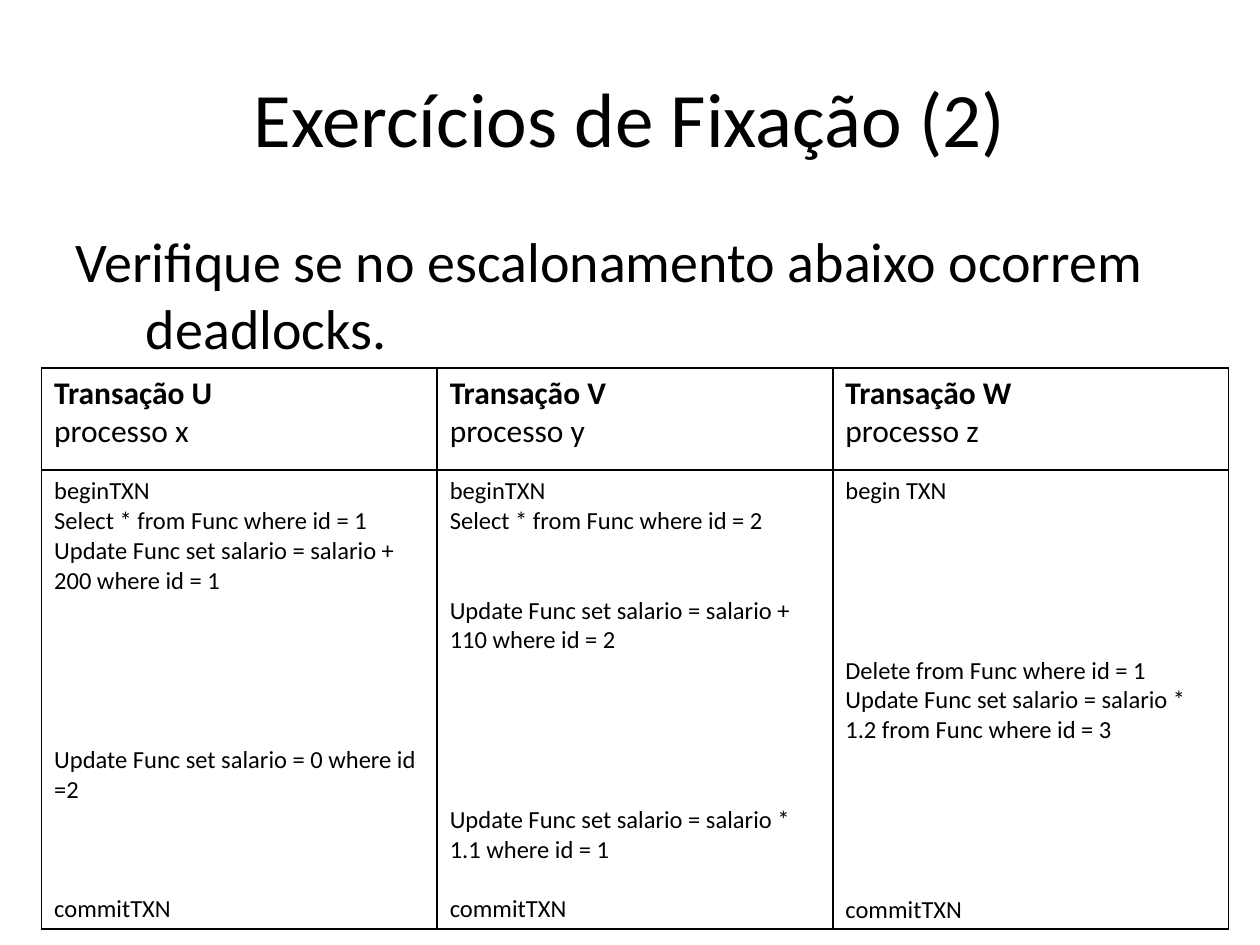
from lxml.etree import SubElement
from pptx import Presentation
from pptx.dml.color import RGBColor
from pptx.enum.text import MSO_ANCHOR as ANCHOR, PP_ALIGN as ALIGN
from pptx.oxml import parse_xml
from pptx.oxml.ns import nsdecls, qn
from pptx.util import Inches, Pt

COLORS = {"text": "000000", "border": "000000", "cell": "FFFFFF"}
LINE_PITCH = 17.1
HEADERS = [("Transação U", "processo x"),
           ("Transação V", "processo y"),
           ("Transação W", "processo z")]
# Each step is its text and the number of lines it waits for.
STEPS = [
    [("beginTXN", 0), ("Select * from Func where id = 1", 0),
     ("Update Func set salario = salario + 200 where id = 1", 0),
     ("Update Func set salario = 0 where id =2", 5), ("commitTXN", 3)],
    [("beginTXN", 0), ("Select * from Func where id = 2", 0),
     ("Update Func set salario = salario + 110 where id = 2", 2),
     ("Update Func set salario = salario * 1.1 where id = 1", 5),
     ("commitTXN", 1)],
    [("begin TXN", 0), ("Delete from Func where id = 1", 5),
     ("Update Func set salario = salario * 1.2 from Func where id = 3", 0),
     ("commitTXN", 5)],
]


def write(p, text, size, bold=False):
    """Write one formatted run into a paragraph."""
    r = p.add_run()
    r.text = text
    for name, value in {"name": "Calibri", "size": Pt(size), "bold": bold}.items():
        setattr(r.font, name, value)
    r.font.color.rgb = RGBColor.from_string(COLORS["text"])


def add_title(s, text):
    """Place and fill the title placeholder."""
    sp = s.shapes.title
    box = {"left": 0.5, "top": 0.3, "width": 9, "height": 1.25}
    for name, value in box.items():
        setattr(sp, name, Inches(value))
    tf = sp.text_frame
    tf.vertical_anchor = ANCHOR.MIDDLE
    tf.paragraphs[0].alignment = ALIGN.CENTER
    write(tf.paragraphs[0], text, 44)


def add_question(s, text):
    """Add the question with a hanging indent."""
    sp = s.shapes.add_textbox(Inches(0.5), Inches(1.75), Inches(9), Inches(4.95))
    tf = sp.text_frame
    tf.word_wrap = True
    p = tf.paragraphs[0]
    pPr = p._p.get_or_add_pPr()
    for name, value in {"marL": 0.56, "indent": -0.56}.items():
        pPr.set(name, str(Inches(value)))
    write(p, text, 32)


def format_cell(cell):
    """Set the fill and the four borders of a cell."""
    cell.fill.solid()
    cell.fill.fore_color.rgb = RGBColor.from_string(COLORS["cell"])
    tcPr = cell._tc.get_or_add_tcPr()
    for i, side in enumerate("LRTB"):
        ln = parse_xml(f'<a:ln{side} {nsdecls("a")} w="{Pt(1)}"/>')
        fill = SubElement(ln, qn("a:solidFill"))
        SubElement(fill, qn("a:srgbClr"), val=COLORS["border"])
        tcPr.insert(i, ln)


def fill_cell(cell, lines):
    """Write lines of text, size, bold and preceding gap in lines."""
    format_cell(cell)
    tf = cell.text_frame
    for i, (text, size, bold, gap) in enumerate(lines):
        p = tf.add_paragraph() if i else tf.paragraphs[0]
        p.space_before = Pt(gap * LINE_PITCH)
        write(p, text, size, bold)


def add_schedule(s):
    """Add the table with one transaction per column."""
    frame = s.shapes.add_table(2, len(HEADERS), Inches(0.33), Inches(2.92),
                               Inches(9.42), Inches(4.42))
    table = frame.table
    table.first_row = table.horz_banding = False
    for row, height in zip(table.rows, (0.81, 3.61)):
        row.height = Inches(height)
    for col, ((name, process), steps) in enumerate(zip(HEADERS, STEPS)):
        table.columns[col].width = Inches(3.14)
        fill_cell(table.cell(0, col),
                  [(name, 18, True, 0), (process, 18, False, 0)])
        fill_cell(table.cell(1, col),
                  [(text, 14, False, gap) for text, gap in steps])


def main():
    """Build and save the slide."""
    prs = Presentation()
    prs.slide_width, prs.slide_height = Inches(10), Inches(7.5)
    s = prs.slides.add_slide(prs.slide_layouts[5])
    add_title(s, "Exercícios de Fixação (2)")
    add_question(s, "Verifique se no escalonamento abaixo ocorrem deadlocks.")
    add_schedule(s)
    prs.save("out.pptx")


main()
